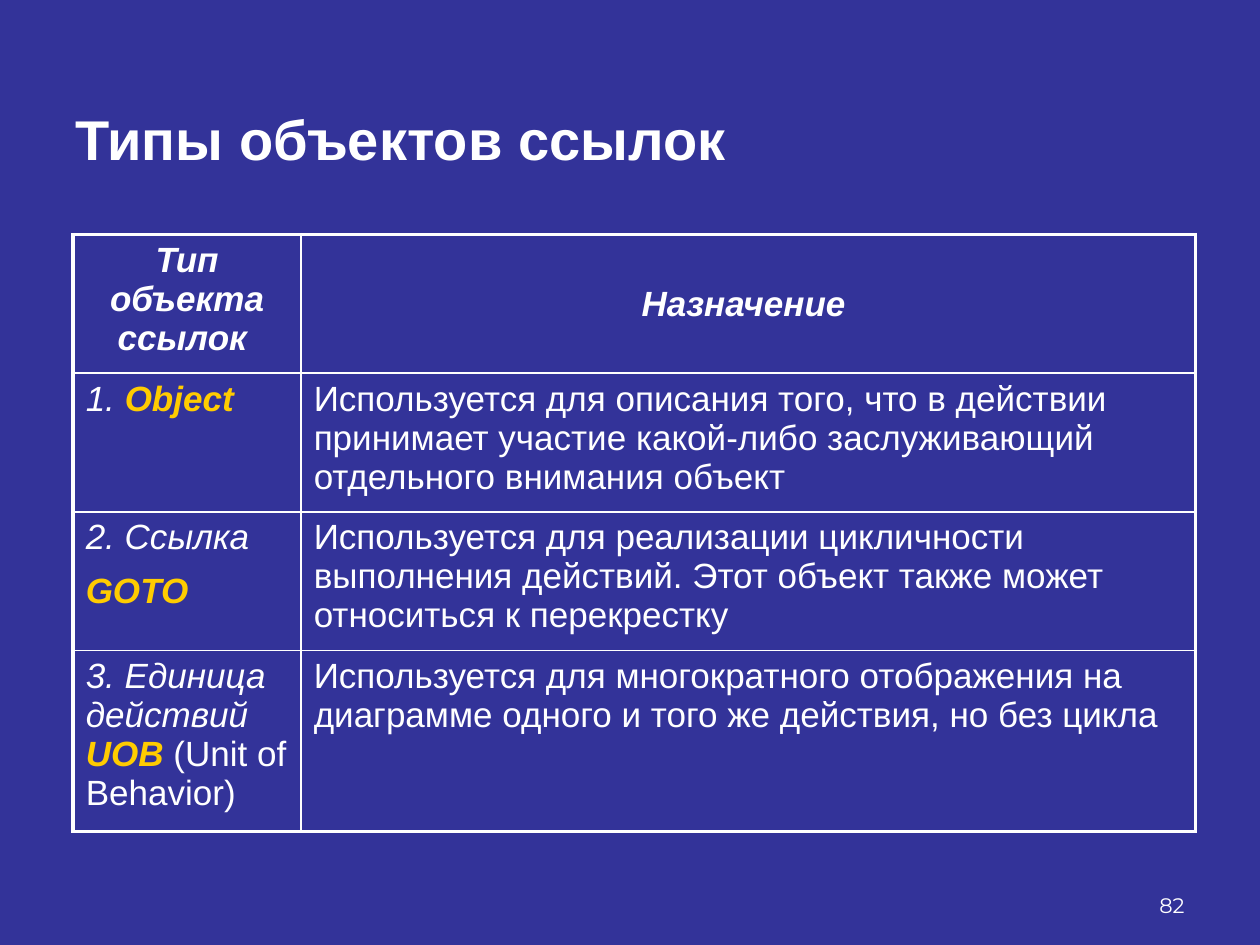
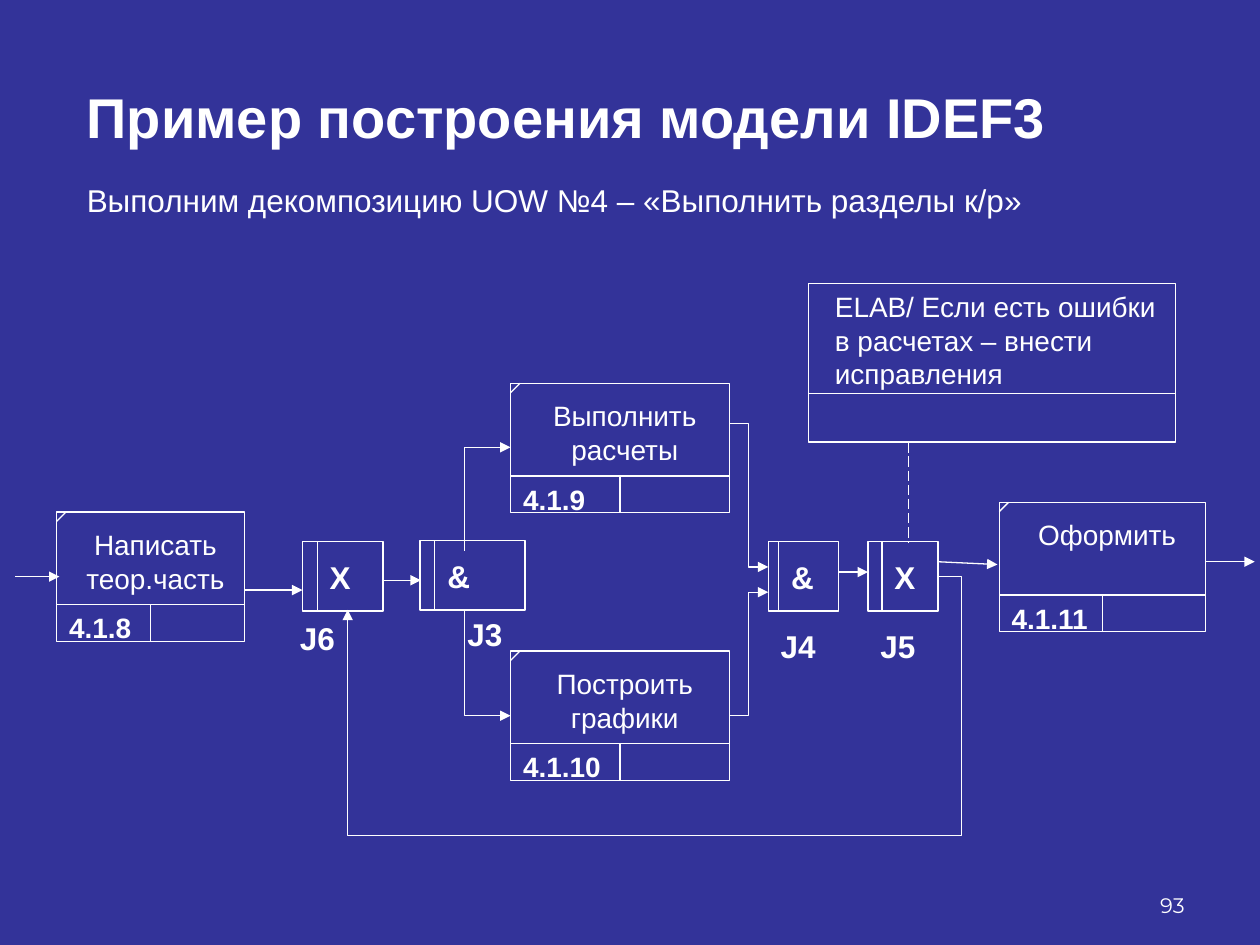
from lxml import etree
from pptx import Presentation
from pptx.dml.color import RGBColor
from pptx.enum.dml import MSO_LINE
from pptx.enum.shapes import MSO_CONNECTOR, MSO_SHAPE
from pptx.enum.text import MSO_ANCHOR, PP_ALIGN
from pptx.oxml.ns import qn
from pptx.util import Pt

RECT = MSO_SHAPE.RECTANGLE
STRAIGHT, ELBOW = MSO_CONNECTOR.STRAIGHT, MSO_CONNECTOR.ELBOW
LEFT, CENTER, RIGHT = PP_ALIGN.LEFT, PP_ALIGN.CENTER, PP_ALIGN.RIGHT
TOP, MIDDLE, BOTTOM = MSO_ANCHOR.TOP, MSO_ANCHOR.MIDDLE, MSO_ANCHOR.BOTTOM
DASH = MSO_LINE.LONG_DASH

COLORS = {"back": "333399", "ink": "FFFFFF", "key": "FFCC00"}
FONT, NUM_FONT = "Arial", "Montserrat"
THIN, INNER, OUTER = 0.75, 1, 2.25

# Run styles of the table
HEAD = {"bold": True, "italic": True}
ITALIC = {"italic": True}
KEY = {"bold": True, "italic": True, "color": "key"}

ROWS = [
    ([("Тип объекта ссылок ", HEAD)], [("Назначение ", HEAD)]),
    ([("1. ", ITALIC), ("Object", KEY)],
     [("Используется для описания того, что в действии принимает участие "
       "какой-либо заслуживающий отдельного внимания объект", {})]),
    ([("2. Ссылка ", ITALIC), ("GOTO", KEY), (" ", {"size": 29})],
     [("Используется для реализации цикличности выполнения действий. "
       "Этот объект также может относиться к перекрестку", {})]),
    ([("3. Единица действий ", ITALIC), ("UOB ", KEY),
      ("(Unit of Behavior)", {})],
     [("Используется для многократного отображения на диаграмме одного "
       "и того же действия, но без цикла", {})]),
]
COL_WIDTHS = (130.3, 511.2)
ROW_HEIGHTS = (79.2, 79.2, 79.2, 103)

# Units of work: left, top, width, number, label
UNITS = [
    (32.4, 292.5, 107.5, "4.1.8", "Написать теор.часть"),
    (291.8, 219, 125, "4.1.9", "Выполнить расчеты"),
    (291.8, 372, 125, "4.1.10", "Построить графики"),
    (571, 287, 118, "4.1.11", "Оформить"),
]

# Junctions: left, top, width, bar offset, sign, name, name offsets
JOINTS = [
    (240, 309, 60, 8.5, "&", "J3", 20, 39),
    (439, 309.6, 40, 6, "&", "J4", 0, 45.4),
    (496, 309.6, 40, 8, "Х", "J5", 0, 45.4),
    (172.8, 309.6, 46, 8.5, "Х", "J6", -8.6, 40.5),
]

# Straight arrows: start and end points
ARROWS = [
    (8.6, 329.5, 34, 329.5),
    (689, 321, 717, 321),
    (140, 337.2, 172.8, 337.2),
    (219, 331.6, 240.5, 331.6),
    (479, 326.9, 496, 326.9),
    (536, 321, 570, 322.6),
]


def color(name):
    return RGBColor.from_string(COLORS[name])


def add_run(para, text, size=20, bold=False, italic=False, color_name="ink",
            font=FONT):
    run = para.add_run()
    run.text = text
    run.font.name, run.font.size = font, Pt(size)
    run.font.bold, run.font.italic = bold, italic
    run.font.color.rgb = color(color_name)


def add_text(shapes, box, text, size, bold=False, align=LEFT, anchor=TOP,
             font=FONT):
    frame = shapes.add_textbox(*map(Pt, box)).text_frame
    frame.word_wrap = True
    frame.vertical_anchor = anchor
    para = frame.paragraphs[0]
    para.alignment = align
    add_run(para, text, size, bold, font=font)


def add_box(shapes, *box):
    rect = shapes.add_shape(RECT, *map(Pt, box))
    rect.shadow.inherit = False
    rect.fill.background()
    rect.line.color.rgb = color("ink")
    rect.line.width = Pt(THIN)


def add_line(shapes, *ends, kind=STRAIGHT, arrow=None, dash=None):
    """Draw a connector; arrow is headEnd (start), tailEnd (end) or None."""
    link = shapes.add_connector(kind, *map(Pt, ends))
    link.line.color.rgb = color("ink")
    link.line.width = Pt(THIN)
    if dash:
        link.line.dash_style = dash
    props = link._element.spPr
    if arrow:
        etree.SubElement(props.find(qn("a:ln")), qn("a:" + arrow),
                         type="triangle")
    etree.SubElement(props, qn("a:effectLst"))
    return link


def add_bend(shapes, *ends, legs, arrow="tailEnd", adjust=()):
    """Draw an elbow with the given number of legs."""
    link = add_line(shapes, *ends, kind=ELBOW, arrow=arrow)
    geom = link._element.spPr.find(qn("a:prstGeom"))
    geom.set("prst", f"bentConnector{legs}")
    values = geom.find(qn("a:avLst"))
    for num, value in enumerate(adjust, 1):
        etree.SubElement(values, qn("a:gd"), name=f"adj{num}",
                         fmla=f"val {round(value * 100000)}")


def add_border(cell, side, width):
    line = etree.SubElement(cell._tc.get_or_add_tcPr(), qn("a:ln" + side),
                            w=str(Pt(width)))
    fill = etree.SubElement(line, qn("a:solidFill"))
    etree.SubElement(fill, qn("a:srgbClr"), val=COLORS["ink"])


def fill_cell(cell, runs, edges):
    for side, outer in edges.items():
        add_border(cell, side, OUTER if outer else INNER)
    cell.fill.background()
    para = cell.text_frame.paragraphs[0]
    for text, style in runs:
        style = dict(style)
        add_run(para, text, color_name=style.pop("color", "ink"), **style)
    return para


def add_grid(shapes):
    frame = shapes.add_table(len(ROWS), 2, Pt(41.8), Pt(134),
                             Pt(sum(COL_WIDTHS)), Pt(sum(ROW_HEIGHTS)))
    table = frame.table
    table.first_row = table.horz_banding = False
    for col, width in zip(table.columns, COL_WIDTHS):
        col.width = Pt(width)
    last = len(ROWS) - 1
    for i, row in enumerate(ROWS):
        table.rows[i].height = Pt(ROW_HEIGHTS[i])
        for j, runs in enumerate(row):
            edges = {"L": j == 0, "R": j == 1, "T": i == 0, "B": i == last}
            para = fill_cell(table.cell(i, j), runs, edges)
            if i == 0:
                para.alignment = CENTER
    table.cell(0, 1).vertical_anchor = MIDDLE


def add_unit(slide, x, y, w, number, label):
    """Draw a unit of work: cut corner, label and number strip."""
    shapes = slide.shapes.add_group_shape().shapes
    high, strip, cut = 74, 53, 5.4
    add_box(shapes, x, y, w, high)
    add_line(shapes, x, y + strip, x + w, y + strip)
    add_line(shapes, x + w / 2, y + strip, x + w / 2, y + high)
    add_line(shapes, x + cut, y, x, y + cut)
    add_text(shapes, (x, y + strip, 74, 26.6), number, 16, bold=True)
    add_text(shapes, (x + cut, y + cut, w - cut, 46), label, 16, align=CENTER)


def add_joint(slide, x, y, w, bar, sign, name, dx, dy):
    """Draw a junction with its sign and name."""
    shapes = slide.shapes.add_group_shape().shapes
    add_box(shapes, x, y, w, 39.6)
    add_line(shapes, x + bar, y, x + bar, y + 39.6)
    add_text(shapes, (x + bar, y + 5.8, 34, 29), sign, 18, bold=True)
    add_text(shapes, (x + dx, y + dy, 57, 29), name, 18, bold=True)


def add_note(slide):
    shapes = slide.shapes.add_group_shape().shapes
    add_box(shapes, 462, 162, 209.8, 90.7)
    add_line(shapes, 462, 225, 671.8, 225)
    add_text(shapes, (470, 162, 201.8, 65.5),
             "ELAB/ Если есть ошибки в расчетах – внести исправления", 16)


def add_slide(deck, title, box, number):
    slide = deck.slides.add_slide(deck.slide_layouts[6])
    slide.background.fill.solid()
    slide.background.fill.fore_color.rgb = color("back")
    add_text(slide.shapes, box, title, 32, bold=True, anchor=MIDDLE)
    add_text(slide.shapes, (516, 492, 168, 36), number, 12, align=RIGHT,
             anchor=BOTTOM, font=NUM_FONT)
    return slide


def add_types(deck):
    slide = add_slide(deck, "Типы объектов ссылок", (36, 36, 648, 86.4), "82")
    add_grid(slide.shapes)


def add_model(deck):
    slide = add_slide(deck, "Пример построения модели IDEF3",
                      (42.5, 43.2, 648, 46.8), "93")
    shapes = slide.shapes
    add_text(shapes, (42.5, 100, 646.5, 29),
             "Выполним декомпозицию UOW №4 – «Выполнить разделы к/р»", 18)
    for unit in UNITS:
        add_unit(slide, *unit)
    for joint in JOINTS:
        add_joint(slide, *joint)
    add_note(slide)

    # Flows
    for ends in ARROWS:
        add_line(shapes, *ends, arrow="tailEnd")
    add_line(shapes, 519, 252.7, 519, 309.6, dash=DASH)
    # Fork at J3, merge at J4, return from J5 to J6
    add_bend(shapes, 291.8, 255.6, 265.5, 314.6, legs=2, arrow="headEnd")
    add_bend(shapes, 291.8, 409, 265.5, 347.8, legs=2, arrow="headEnd")
    add_bend(shapes, 416.8, 241.9, 439, 324, legs=3)
    add_bend(shapes, 416.8, 409, 439, 338.4, legs=3)
    add_bend(shapes, 536, 329.5, 198.7, 348.5, legs=4, adjust=(-0.04, 7.8))


def main():
    deck = Presentation()
    deck.slide_width, deck.slide_height = Pt(720), Pt(540)
    add_types(deck)
    add_model(deck)
    deck.save("out.pptx")


if __name__ == "__main__":
    main()
